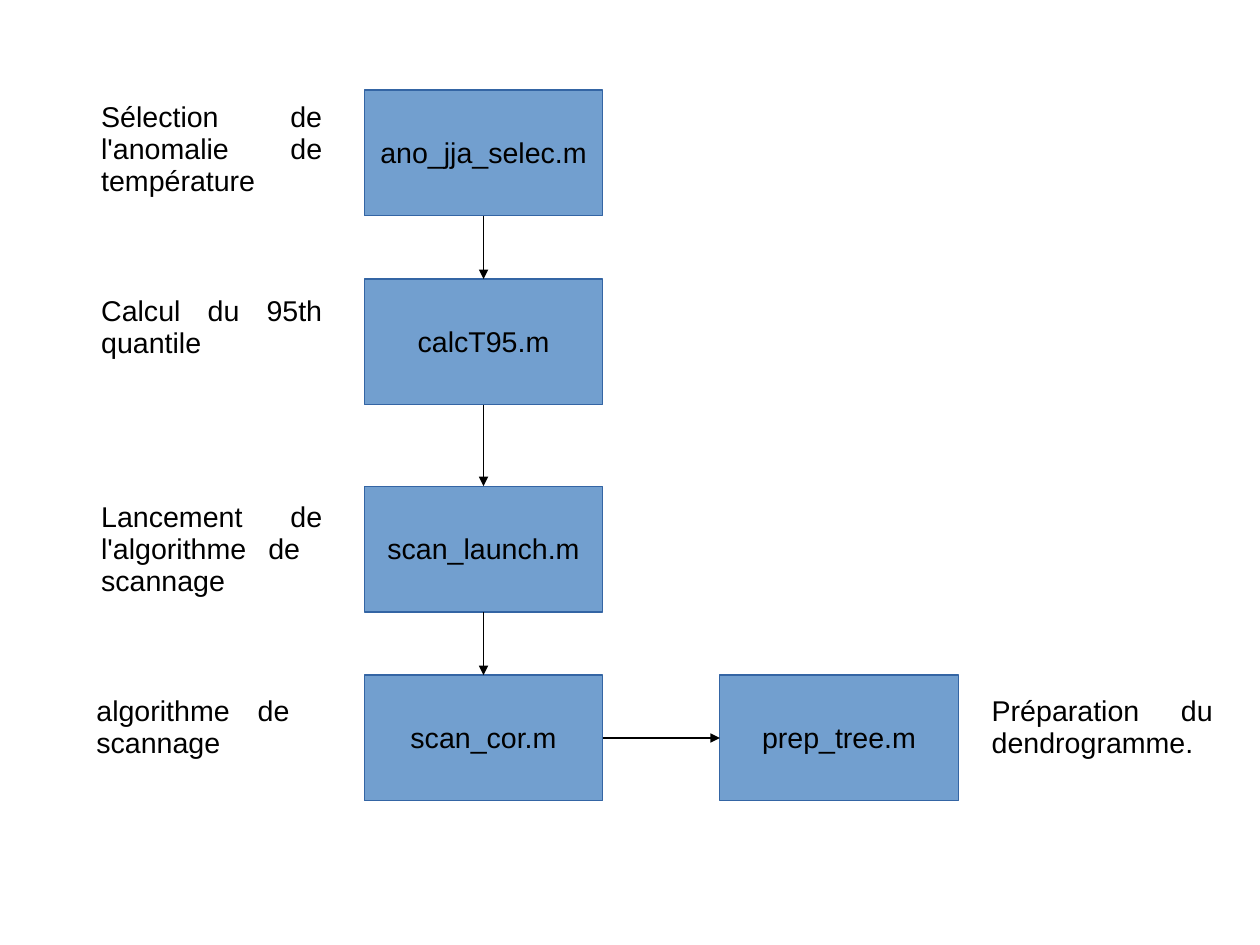
import pptx
import pptx.util
import pptx.dml.color
import pptx.enum.shapes
import pptx.enum.text
import pptx.oxml.ns
import lxml.etree

PX = 3175
BLACK = pptx.dml.color.RGBColor(0x00, 0x00, 0x00)
BLUE = pptx.dml.color.RGBColor(0x72, 0x9F, 0xCF)
DARK_BLUE = pptx.dml.color.RGBColor(0x34, 0x65, 0xA4)
ALIGN = pptx.enum.text.PP_ALIGN
ANCHOR = pptx.enum.text.MSO_ANCHOR

BOX_W, BOX_H = 601, 317
LABEL_W = 613
TWO_LINES, THREE_LINES = 190, 271
TOP, LEFT, BOTTOM, RIGHT = range(4)

STEPS = [
    (0, "ano_jja_selec.m", 0, 11, THREE_LINES, "Sélection de l'anomalie de température"),
    (476, "calcT95.m", 0, 23, TWO_LINES, "Calcul du 95th quantile"),
    (998, "scan_launch.m", 0, 22, THREE_LINES, "Lancement de l'algorithme de  scannage"),
    (1474, "scan_cor.m", -12, 33, TWO_LINES, "algorithme de  scannage"),
]


def emu(*lengths):
    return [pptx.util.Emu(n * PX) for n in lengths]


def write(sp, text, align, anchor, wrap):
    tf = sp.text_frame
    tf.text = text
    tf.word_wrap = wrap
    tf.vertical_anchor = anchor
    tf.margin_left, tf.margin_top, tf.margin_right, tf.margin_bottom = emu(28, 19, 28, 14)
    p = tf.paragraphs[0]
    p.alignment = align
    p.line_spacing = 0.93
    font = p.runs[0].font
    font.name = "Arial"
    font.size = pptx.util.Pt(18)
    font.color.rgb = BLACK


def add_box(s, x, y, text):
    sp = s.shapes.add_shape(
        pptx.enum.shapes.MSO_SHAPE.RECTANGLE, *emu(x, y, BOX_W, BOX_H))
    sp.shadow.inherit = False
    sp.fill.solid()
    sp.fill.fore_color.rgb = BLUE
    sp.line.color.rgb = DARK_BLUE
    sp.line.width = pptx.util.Pt(0.75)
    write(sp, text, ALIGN.CENTER, ANCHOR.MIDDLE, False)
    return sp


def add_label(s, x, y, h, text):
    sp = s.shapes.add_textbox(*emu(x, y, LABEL_W, h))
    write(sp, text, ALIGN.JUSTIFY, ANCHOR.TOP, True)


def add_arrow(s, start, start_side, end, end_side):
    cxn = s.shapes.add_connector(
        pptx.enum.shapes.MSO_CONNECTOR.STRAIGHT, 0, 0, 0, 0)
    cxn.begin_connect(start, start_side)
    cxn.end_connect(end, end_side)
    cxn.line.color.rgb = BLACK
    cxn.line.width = pptx.util.Pt(0.75)
    qn = pptx.oxml.ns.qn
    ln = cxn._element.spPr.find(qn("a:ln"))
    lxml.etree.SubElement(ln, qn("a:tailEnd"), type="triangle")
    lxml.etree.SubElement(cxn._element.spPr, qn("a:effectLst"))


def add_steps(s, x, y):
    previous = None
    for dy, name, label_dx, label_dy, label_h, label in STEPS:
        box = add_box(s, x + 691, y + dy, name)
        add_label(s, x + label_dx, y + dy + label_dy, label_h, label)
        if previous is not None:
            add_arrow(s, previous, BOTTOM, box, TOP)
        previous = box
    return previous


def add_tree_step(s, x, y, scan):
    box = add_box(s, x, y, "prep_tree.m")
    add_label(s, x + 657, y + 33, TWO_LINES, "Préparation du dendrogramme.")
    add_arrow(s, scan, RIGHT, box, LEFT)


def main():
    prs = pptx.Presentation()
    prs.slide_width, prs.slide_height = emu(3175, 2381)
    s = prs.slides.add_slide(prs.slide_layouts[6])
    scan = add_steps(s, 227, 227)
    add_tree_step(s, 1814, 1701, scan)
    prs.save("out.pptx")


if __name__ == "__main__":
    main()
